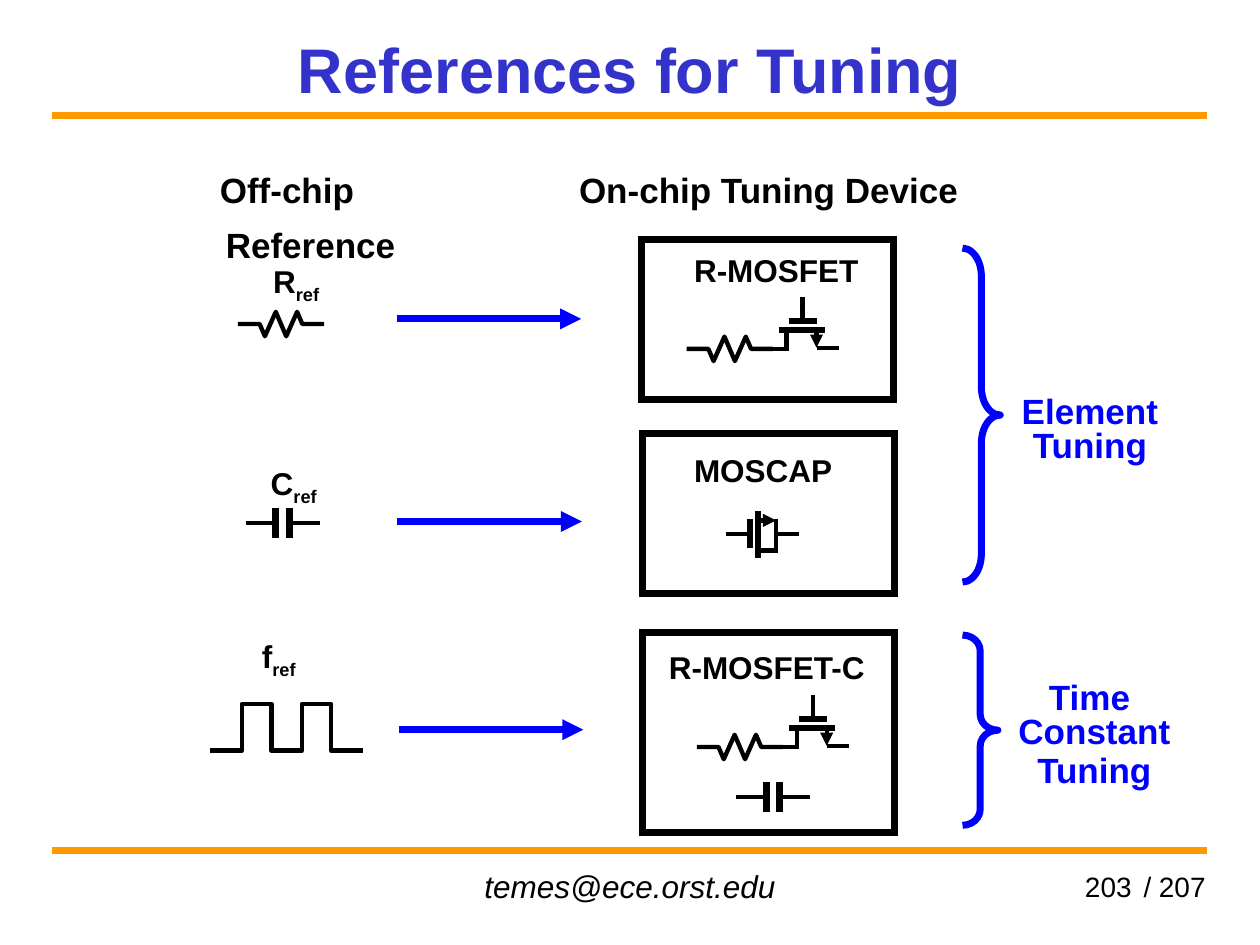
from collections import namedtuple
from dataclasses import dataclass

from lxml.etree import SubElement
from pptx import Presentation
from pptx.dml.color import RGBColor as Rgb
from pptx.enum.shapes import MSO_CONNECTOR as Connector, MSO_SHAPE as Preset
from pptx.enum.text import MSO_ANCHOR as Anchor, PP_ALIGN as Align
from pptx.oxml.ns import qn
from pptx.util import Pt

Box = namedtuple("Box", "left top width height")


@dataclass(frozen=True)
class Theme:
    font: str = "Arial"
    ink: Rgb = Rgb(0, 0, 0)
    title: Rgb = Rgb(0x33, 0x33, 0xCC)
    rule: Rgb = Rgb(0xFF, 0x99, 0)
    accent: Rgb = Rgb(0, 0, 0xFF)
    title_size: float = 36
    heading_size: float = 20
    label_size: float = 18
    page_size: float = 16
    thin: float = 2.5
    plate: float = 3.5
    thick: float = 4
    rule_width: float = 4.5


THEME = Theme()


# Drawing helpers
def wire(slide, start, end, width=THEME.thin, color=THEME.ink, arrow=None):
    line = slide.shapes.add_connector(
        Connector.STRAIGHT, *(Pt(value) for value in (*start, *end)))
    line.line.color.rgb = color
    line.line.width = Pt(width)
    properties = line._element.spPr
    if arrow:
        SubElement(properties.find(qn("a:ln")), qn(f"a:{arrow}"), type="triangle")
    SubElement(properties, qn("a:effectLst"))


def outline(shape, width, color=THEME.ink, join="round"):
    shape.shadow.inherit = False
    shape.fill.background()
    shape.line.color.rgb = color
    shape.line.width = Pt(width)
    SubElement(shape._element.spPr.find(qn("a:ln")), qn(f"a:{join}"))


def polyline(slide, points):
    start, *rest = [(Pt(x), Pt(y)) for x, y in points]
    builder = slide.shapes.build_freeform(*start)
    builder.add_line_segments(rest, close=False)
    outline(builder.convert_to_shape(), THEME.thin)


def text_box(slide, box, anchor=Anchor.TOP, wrap=False):
    frame = slide.shapes.add_textbox(*(Pt(value) for value in box)).text_frame
    frame.word_wrap = wrap
    frame.vertical_anchor = anchor
    return frame


def add_run(paragraph, text, size, color=THEME.ink, bold=True, italic=False):
    run = paragraph.add_run()
    run.text = text
    font = run.font
    font.name, font.size, font.bold, font.italic = THEME.font, Pt(size), bold, italic
    font.color.rgb = color
    return run


# Circuit symbols, each placed by its left end and the height of its lead
def wires(slide, left, y, parts):
    for x1, y1, x2, y2, width, arrow in parts:
        wire(slide, (left + x1, y + y1), (left + x2, y + y2), width, arrow=arrow)


def resistor(slide, left, y):
    zigzag = [(0, 0), (12.4, 0), (15.4, 7), (21.6, -7),
              (27.6, 7), (33.8, -7), (36.8, 0), (49.2, 0)]
    polyline(slide, [(left + dx, y + dy) for dx, dy in zigzag])


def capacitor(slide, left, y):
    wires(slide, left, y, [
        (25.2, -8.6, 25.2, 8.6, THEME.thick, None),
        (17.3, -8.6, 17.3, 8.6, THEME.thick, None),
        (23.8, 0, 42.5, 0, THEME.thin, None),
        (0, 0, 18.7, 0, THEME.thin, None)])


def square_wave(slide, left, y):
    height = 26.6
    points = [(left, y)]
    for rise, fall in ((18, 34.9), (52.4, 69.1)):
        points += [(left + rise, y), (left + rise, y - height),
                   (left + fall, y - height), (left + fall, y)]
    polyline(slide, points + [(left + 87, y)])


def r_mosfet(slide, left, y):
    resistor(slide, left, y)
    wires(slide, left + 46.1, y, [
        (28.1, -0.7, 28.1, -11, THEME.thin, "headEnd"),
        (6.5, -10.8, 33.1, -10.8, THEME.plate, None),
        (12.2, -15.8, 28.1, -15.8, THEME.plate, None),
        (20.2, -15, 20.2, -29.5, THEME.thin, None),
        (12.2, 0, 0, 0, THEME.thin, None),
        (41, -0.7, 28.1, -0.7, THEME.thin, None),
        (11, 0, 11, -10.8, THEME.thin, None)])


def moscap(slide, left, y):
    wires(slide, left, y, [
        (28.8, -7.9, 18, -7.9, THEME.thin, "headEnd"),
        (18.7, 13.7, 18.7, -13, THEME.plate, None),
        (13.7, 7.9, 13.7, -8.6, THEME.plate, None),
        (14.4, 0, 0, 0, THEME.thin, None),
        (28.8, 0, 41.8, 0, THEME.thin, None),
        (28.8, -8.6, 28.8, 10.8, THEME.thin, None),
        (29.5, 9.4, 18.7, 9.4, THEME.thin, None)])


# Slide regions
def header(slide, box):
    paragraph = text_box(slide, box, Anchor.MIDDLE, wrap=True).paragraphs[0]
    paragraph.alignment = Align.CENTER
    add_run(paragraph, "References for Tuning", THEME.title_size, THEME.title)


def rules(slide, box):
    for y in (box.top, box.top + box.height):
        wire(slide, (box.left, y), (box.left + box.width, y),
             THEME.rule_width, THEME.rule)


def footer(slide, box):
    parts = [("temes@ece.orst.edu", 0, 252, Align.CENTER, THEME.label_size, True),
             ("/ 207", 300, 162, Align.RIGHT, THEME.page_size, False),
             ("203", 319.7, 100, Align.RIGHT, THEME.page_size, False)]
    for text, offset, width, align, size, italic in parts:
        place = Box(box.left + offset, box.top, width, box.height)
        paragraph = text_box(slide, place, Anchor.MIDDLE, True).paragraphs[0]
        paragraph.alignment = align
        add_run(paragraph, text, size, bold=False, italic=italic)


def heading(slide, box, lines, color=THEME.ink, hanging=False):
    frame = text_box(slide, box, wrap=hanging)
    for index, (text, spacing) in enumerate(lines):
        paragraph = frame.add_paragraph() if index else frame.paragraphs[0]
        paragraph.alignment = Align.CENTER
        paragraph.line_spacing = spacing
        if index:
            paragraph.space_before = Pt(4)
        if hanging:
            paragraph._p.get_or_add_pPr().set("marL", str(Pt(27)))
            paragraph._p.get_or_add_pPr().set("indent", str(Pt(-27)))
        add_run(paragraph, text, THEME.heading_size, color)


def reference(slide, box, letter, symbol, offset):
    paragraph = text_box(slide, box).paragraphs[0]
    add_run(paragraph, letter, THEME.label_size)
    subscript = add_run(paragraph, "ref", THEME.label_size)
    subscript._r.get_or_add_rPr().set("baseline", "-25000")
    symbol(slide, box.left + offset[0], box.top + offset[1])


def device(slide, box, name, name_offset, symbols):
    frame = slide.shapes.add_shape(Preset.RECTANGLE, *(Pt(value) for value in box))
    outline(frame, THEME.thick, join="miter")
    dx, dy = name_offset
    label = Box(box.left + dx, box.top + dy, box.width - dx, 28.8)
    add_run(text_box(slide, label).paragraphs[0], name, THEME.label_size)
    for symbol, x, y in symbols:
        symbol(slide, box.left + x, box.top + y)


def tuning_group(slide, box, curl, caption_box, lines):
    brace = slide.shapes.add_shape(Preset.RIGHT_BRACE, *(Pt(value) for value in box))
    brace.adjustments[0] = curl
    outline(brace, THEME.thick, THEME.accent)
    heading(slide, caption_box, lines, THEME.accent)


def main():
    deck = Presentation()
    deck.slide_width, deck.slide_height = Pt(720), Pt(540)
    slide = deck.slides.add_slide(deck.slide_layouts[6])

    rules(slide, Box(30, 66, 660, 420))
    footer(slide, Box(234, 491.8, 462, 28.8))
    header(slide, Box(54, 12, 612, 54))

    # Column headings
    heading(slide, Box(74, 85.7, 180, 72), [("Off-chip Reference", 1.3)], hanging=True)
    heading(slide, Box(323, 85.7, 232.5, 38), [("On-chip Tuning Device", 1.3)])

    # Off-chip references
    reference(slide, Box(149, 146.2, 42.5, 28.8), "R", resistor, (-13, 39))
    reference(slide, Box(147.6, 261.4, 42.5, 28.8), "C", capacitor, (-7.2, 37.4))
    reference(slide, Box(142.6, 360.7, 36, 28.8), "f", square_wave, (-22.4, 68.2))

    # Arrows from reference to device
    for x, y in ((226.6, 182.2), (227, 298), (227.8, 417)):
        wire(slide, (x, y), (x + 105.5, y), THEME.thick, THEME.accent, "tailEnd")

    # On-chip devices
    device(slide, Box(366.5, 136.8, 144, 91.4), "R-MOSFET", (23, 2.9),
           [(r_mosfet, 25.9, 62.6)])
    device(slide, Box(367.2, 247.7, 144, 91.4), "MOSCAP", (22.3, 6.5),
           [(moscap, 47.5, 57.6)])
    device(slide, Box(367.2, 361.4, 144, 114.5), "R-MOSFET-C", (7.9, 5.1),
           [(r_mosfet, 31, 65.5), (capacitor, 53.3, 94)])

    # Kinds of tuning
    tuning_group(slide, Box(550, 141.8, 21.6, 190.8), 0.74,
                 Box(576.7, 211.7, 92.2, 57.6), [("Element", 1.3), ("Tuning", 0.6)])
    tuning_group(slide, Box(550, 362.9, 20.2, 108.7), 0.45,
                 Box(574.6, 375.1, 101.5, 81.4),
                 [("Time ", 1.3), ("Constant", 0.6), ("Tuning", 0.8)])

    deck.save("out.pptx")


if __name__ == "__main__":
    main()
